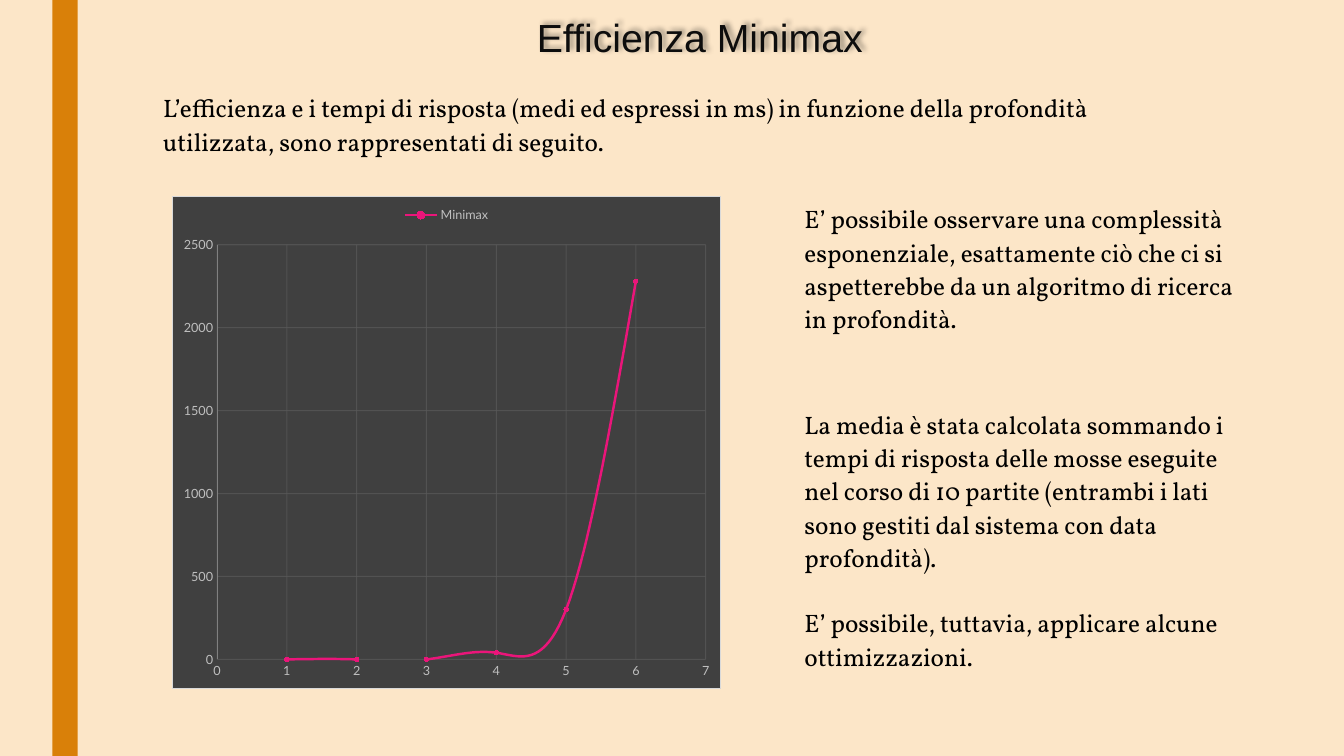
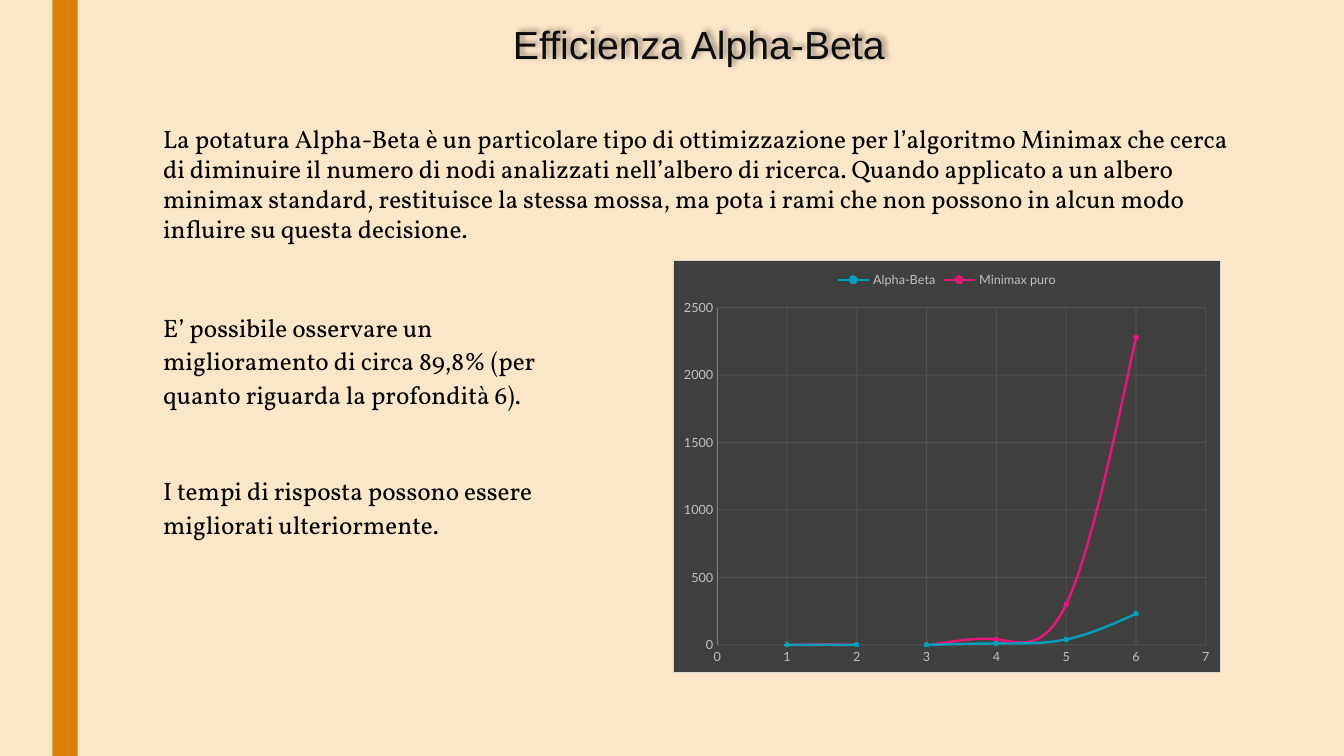
"""Build two slides on the response times of Minimax and Alpha-Beta."""
from dataclasses import dataclass

from pptx import Presentation
from pptx.chart.data import XyChartData
from pptx.dml.color import RGBColor
from pptx.enum.chart import (
    XL_CHART_TYPE, XL_LEGEND_POSITION, XL_MARKER_STYLE, XL_TICK_MARK)
from pptx.enum.shapes import MSO_SHAPE
from pptx.enum.text import MSO_AUTO_SIZE, PP_ALIGN
from pptx.oxml import parse_xml
from pptx.oxml.ns import nsdecls, qn
from pptx.util import Inches, Pt

SMOOTH_SCATTER = XL_CHART_TYPE.XY_SCATTER_SMOOTH
LEGEND_TOP = XL_LEGEND_POSITION.TOP
CIRCLE = XL_MARKER_STYLE.CIRCLE
NO_TICK = XL_TICK_MARK.NONE
RECTANGLE = MSO_SHAPE.RECTANGLE
GROW = MSO_AUTO_SIZE.SHAPE_TO_FIT_TEXT
CENTER = PP_ALIGN.CENTER
TITLE_ONLY = 5
BAND_ID = "20"


@dataclass(frozen=True)
class Theme:
    background: str = "FCE6C8"
    band: str = "D98009"
    title: str = "0D0D0D"
    text: str = "000000"
    chart_fill: str = "404040"
    chart_border: str = "D9D9D9"
    chart_text: str = "BFBFBF"
    axis: str = "808080"
    grid: str = "595959"
    minimax: str = "EA157A"
    alpha_beta: str = "00A0B8"
    title_font: str = "Arial"
    text_font: str = "Vollkorn"
    chart_font: str = "Lato"
    title_size: float = 28
    text_size: float = 18
    chart_size: float = 9
    thin_line: float = 0.75
    curve_line: float = 1.75
    marker_size: int = 3


THEME = Theme()
MARGIN = 1.52
DEPTHS = range(1, 7)
MINIMAX_TIMES = (0, 0, 0, 40, 300, 2280)
ALPHA_BETA_TIMES = (0, 0, 0, 10, 40, 230)


def rgb(color):
    return RGBColor.from_string(color)


def style_font(font, name, size, color):
    font.name, font.size = name, Pt(size)
    font.color.rgb = rgb(color)


def style_line(line, color, width):
    line.color.rgb = rgb(color)
    line.width = Pt(width)


class Deck:
    """Holds the style and the current slide."""

    def __init__(self, theme):
        self.theme = theme
        self.slide = None
        self.presentation = Presentation()
        self.presentation.slide_width = Inches(13.33)
        self.presentation.slide_height = Inches(7.5)
        fill = self.presentation.slide_master.background.fill
        fill.solid()
        fill.fore_color.rgb = rgb(theme.background)

    def add_slide(self, title, left, top):
        layout = self.presentation.slide_layouts[TITLE_ONLY]
        self.slide = self.presentation.slides.add_slide(layout)
        if len(self.presentation.slides) == 1:
            self.add_master_band()
        self.add_title(title, left, top)

    def add_master_band(self):
        band = self.slide.shapes.add_shape(
            RECTANGLE, Inches(0.52), 0, Inches(0.25), Inches(7.5))
        band.shadow.inherit = False
        band.fill.solid()
        band.fill.fore_color.rgb = rgb(self.theme.band)
        band.line.fill.background()
        band.element.nvSpPr.cNvPr.set("id", BAND_ID)
        self.presentation.slide_master.shapes.element.append(band.element)

    def add_title(self, text, left, top):
        title = self.slide.shapes.title
        title.left, title.top = Inches(left), Inches(top)
        title.width, title.height = Inches(4.6), Inches(0.57)
        paragraph = self.fill_text(title.text_frame, text)
        paragraph.alignment = CENTER
        style_font(paragraph.runs[0].font, self.theme.title_font,
                   self.theme.title_size, self.theme.title)
        title.element.spPr.append(parse_xml(
            f'<a:effectLst {nsdecls("a")}>'
            '<a:outerShdw blurRad="50800" dist="38100" dir="18900000">'
            '<a:srgbClr val="000000"><a:alpha val="40000"/></a:srgbClr>'
            '</a:outerShdw></a:effectLst>'))

    def fill_text(self, text_frame, text):
        text_frame.text = text
        text_frame.word_wrap = True
        text_frame.auto_size = GROW
        return text_frame.paragraphs[0]

    def add_text(self, text, left, top, width, height, spaced=True):
        box = self.slide.shapes.add_textbox(
            Inches(left), Inches(top), Inches(width), Inches(height))
        paragraph = self.fill_text(box.text_frame, text)
        if spaced:
            paragraph.line_spacing = 1.1
            paragraph.space_before, paragraph.space_after = Pt(6), Pt(10)
        style_font(paragraph.runs[0].font, self.theme.text_font,
                   self.theme.text_size, self.theme.text)

    def add_chart(self, curves, left, top, width, height):
        data = XyChartData()
        for name, times, _ in curves:
            series = data.add_series(name)
            for depth, time in zip(DEPTHS, times):
                series.add_data_point(depth, time)
        chart = self.slide.shapes.add_chart(
            SMOOTH_SCATTER, Inches(left), Inches(top),
            Inches(width), Inches(height), data).chart
        self.style_axis(chart.category_axis, 7, 1)
        self.style_axis(chart.value_axis, 2500, 500)
        chart.category_axis.format.line.fill.background()
        style_line(chart.value_axis.format.line,
                   self.theme.axis, self.theme.thin_line)
        self.style_chart(chart)
        for series, (_, _, color) in zip(chart.plots[0].series, curves):
            self.style_curve(series, color)

    def style_chart(self, chart):
        theme = self.theme
        chart.has_title = False
        chart.has_legend = True
        chart.legend.position = LEGEND_TOP
        chart.legend.include_in_layout = False
        for font in (chart.font, chart.legend.font):
            style_font(font, theme.chart_font, theme.chart_size,
                       theme.chart_text)
        chart.plots[0].vary_by_categories = False
        for smooth in chart.element.iter(qn("c:smooth")):
            smooth.set("val", "1")
        for gridlines in chart.element.iter(qn("c:majorGridlines")):
            for color in gridlines.iter(qn("a:srgbClr")):
                color.append(parse_xml(
                    f'<a:alpha {nsdecls("a")} val="75000"/>'))
        chart.element.find(qn("c:chart")).addnext(parse_xml(
            f'<c:spPr {nsdecls("c", "a")}>'
            f'<a:solidFill><a:srgbClr val="{theme.chart_fill}"/></a:solidFill>'
            f'<a:ln w="{int(Pt(theme.thin_line))}"><a:solidFill>'
            f'<a:srgbClr val="{theme.chart_border}"/></a:solidFill></a:ln>'
            '</c:spPr>'))

    def style_axis(self, axis, maximum, step):
        theme = self.theme
        axis.minimum_scale, axis.maximum_scale = 0, maximum
        axis.major_unit = step
        axis.major_tick_mark = axis.minor_tick_mark = NO_TICK
        style_font(axis.tick_labels.font, theme.chart_font,
                   theme.chart_size, theme.chart_text)
        axis.has_major_gridlines = True
        style_line(axis.major_gridlines.format.line,
                   theme.grid, theme.thin_line)

    def style_curve(self, series, color):
        style_line(series.format.line, color, self.theme.curve_line)
        marker = series.marker
        marker.style, marker.size = CIRCLE, self.theme.marker_size
        marker.format.fill.solid()
        marker.format.fill.fore_color.rgb = rgb(color)
        style_line(marker.format.line, color, self.theme.thin_line)


def add_minimax_slide(deck):
    deck.add_slide("Efficienza Minimax", 4.64, 0.08)
    deck.add_text(
        "L’efficienza e i tempi di risposta (medi ed espressi in ms) in "
        "funzione della profondità utilizzata, sono rappresentati di seguito.",
        MARGIN, 0.84, 10.43, 0.75)
    deck.add_chart([("Minimax", MINIMAX_TIMES, THEME.minimax)],
                   1.71, 1.94, 5.44, 4.9)
    notes = (
        (1.94, 1.42, "E’ possibile osservare una complessità esponenziale, "
         "esattamente ciò che ci si aspetterebbe da un algoritmo di ricerca "
         "in profondità."),
        (3.98, 1.75, "La media è stata calcolata sommando i tempi di risposta "
         "delle mosse eseguite nel corso di 10 partite (entrambi i lati sono "
         "gestiti dal sistema con data profondità)."),
        (5.95, 0.75, "E’ possibile, tuttavia, applicare alcune "
         "ottimizzazioni."))
    for top, height, text in notes:
        deck.add_text(text, 7.88, top, 4.63, height)


def add_alpha_beta_slide(deck):
    deck.add_slide("Efficienza Alpha-Beta", 4.63, 0.15)
    deck.add_text(
        "La potatura Alpha-Beta è un particolare tipo di ottimizzazione per "
        "l’algoritmo Minimax che cerca di diminuire il numero di nodi "
        "analizzati nell’albero di ricerca. Quando applicato a un albero "
        "minimax standard, restituisce la stessa mossa, ma pota i rami che "
        "non possono in alcun modo influire su questa decisione.",
        MARGIN, 1.17, 10.94, 1.31, spaced=False)
    deck.add_chart([("Alpha-Beta", ALPHA_BETA_TIMES, THEME.alpha_beta),
                    ("Minimax puro", MINIMAX_TIMES, THEME.minimax)],
                   6.67, 2.58, 5.44, 4.1)
    notes = (
        (3.02, 1.08, "E’ possibile osservare un miglioramento di circa 89,8% "
         "(per quanto riguarda la profondità 6)."),
        (4.64, 0.75, "I tempi di risposta possono essere migliorati "
         "ulteriormente."))
    for top, height, text in notes:
        deck.add_text(text, MARGIN, top, 4.11, height)


def main():
    deck = Deck(THEME)
    add_minimax_slide(deck)
    add_alpha_beta_slide(deck)
    deck.presentation.save("out.pptx")


if __name__ == "__main__":
    main()
